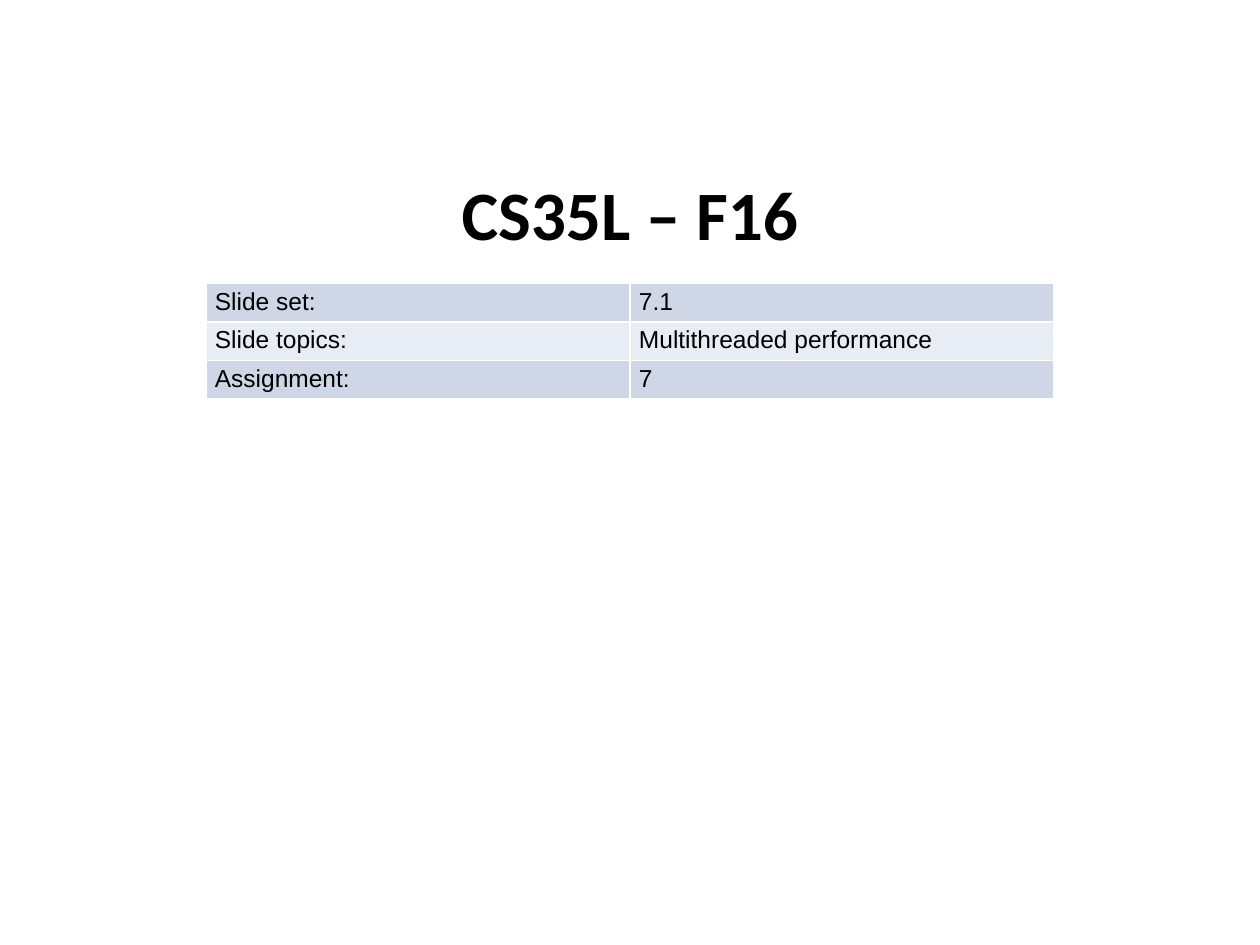
import pptx
import pptx.util
import pptx.dml.color
import pptx.enum.text
import pptx.oxml
import pptx.oxml.ns

Cm = pptx.util.Cm
Pt = pptx.util.Pt
RGB = pptx.dml.color.RGBColor.from_string
PP_ALIGN = pptx.enum.text.PP_ALIGN
MSO_ANCHOR = pptx.enum.text.MSO_ANCHOR

COLORS = {"text": "000000", "border": "FFFFFF", "odd": "CFD7E7", "even": "E8ECF4"}


class Deck:
    title_font = {"name": "Calibri", "size": Pt(39.6), "bold": True}
    cell_font = {"name": "Arial", "size": Pt(14), "bold": False}
    cell_format = {"margin_left": Cm(0.18), "margin_right": Cm(0.18),
                   "margin_top": Cm(0.09), "margin_bottom": Cm(0.09)}

    def __init__(self, prs):
        self.slide = prs.slides.add_slide(prs.slide_layouts[6])

    def apply(self, obj, values):
        for name, value in values.items():
            setattr(obj, name, value)

    def text(self, tf, text, font, align):
        p = tf.paragraphs[0]
        p.alignment = align
        r = p.add_run()
        r.text = text
        self.apply(r.font, font)
        r.font.color.rgb = RGB(COLORS["text"])

    def title(self, text, left, top, width, height):
        sp = self.slide.shapes.add_textbox(Cm(left), Cm(top), Cm(width), Cm(height))
        tf = sp.text_frame
        self.apply(tf, {"word_wrap": True, "vertical_anchor": MSO_ANCHOR.MIDDLE})
        self.text(tf, text, self.title_font, PP_ALIGN.CENTER)

    def border(self, cell):
        tc_pr = cell._tc.get_or_add_tcPr()
        for side in ("lnL", "lnR", "lnT", "lnB"):
            tc_pr.append(pptx.oxml.parse_xml(
                f'<a:{side} {pptx.oxml.ns.nsdecls("a")} w="{Pt(1)}"><a:solidFill>'
                f'<a:srgbClr val="{COLORS["border"]}"/></a:solidFill></a:{side}>'))

    def table(self, rows, left, top, col_width, row_height):
        cols = len(rows[0])
        table = self.slide.shapes.add_table(
            len(rows), cols, Cm(left), Cm(top),
            Cm(col_width * cols), Cm(row_height * len(rows))).table
        self.apply(table, {"first_row": False, "horz_banding": True})
        for i, row in enumerate(rows):
            for j, text in enumerate(row):
                cell = table.cell(i, j)
                self.apply(cell, self.cell_format)
                self.border(cell)
                cell.fill.solid()
                cell.fill.fore_color.rgb = RGB(COLORS["even" if i % 2 else "odd"])
                self.text(cell.text_frame, text, self.cell_font, PP_ALIGN.LEFT)


prs = pptx.Presentation()
prs.slide_width, prs.slide_height = Cm(25.4), Cm(19.05)

deck = Deck(prs)
deck.title("CS35L – F16", 7.19, 3.66, 11.02, 1.27)
deck.table([
    ("Slide set:", "7.1"),
    ("Slide topics:", "Multithreaded performance"),
    ("Assignment:", "7"),
], 4.15, 5.72, 8.55, 0.77)

prs.save("out.pptx")
